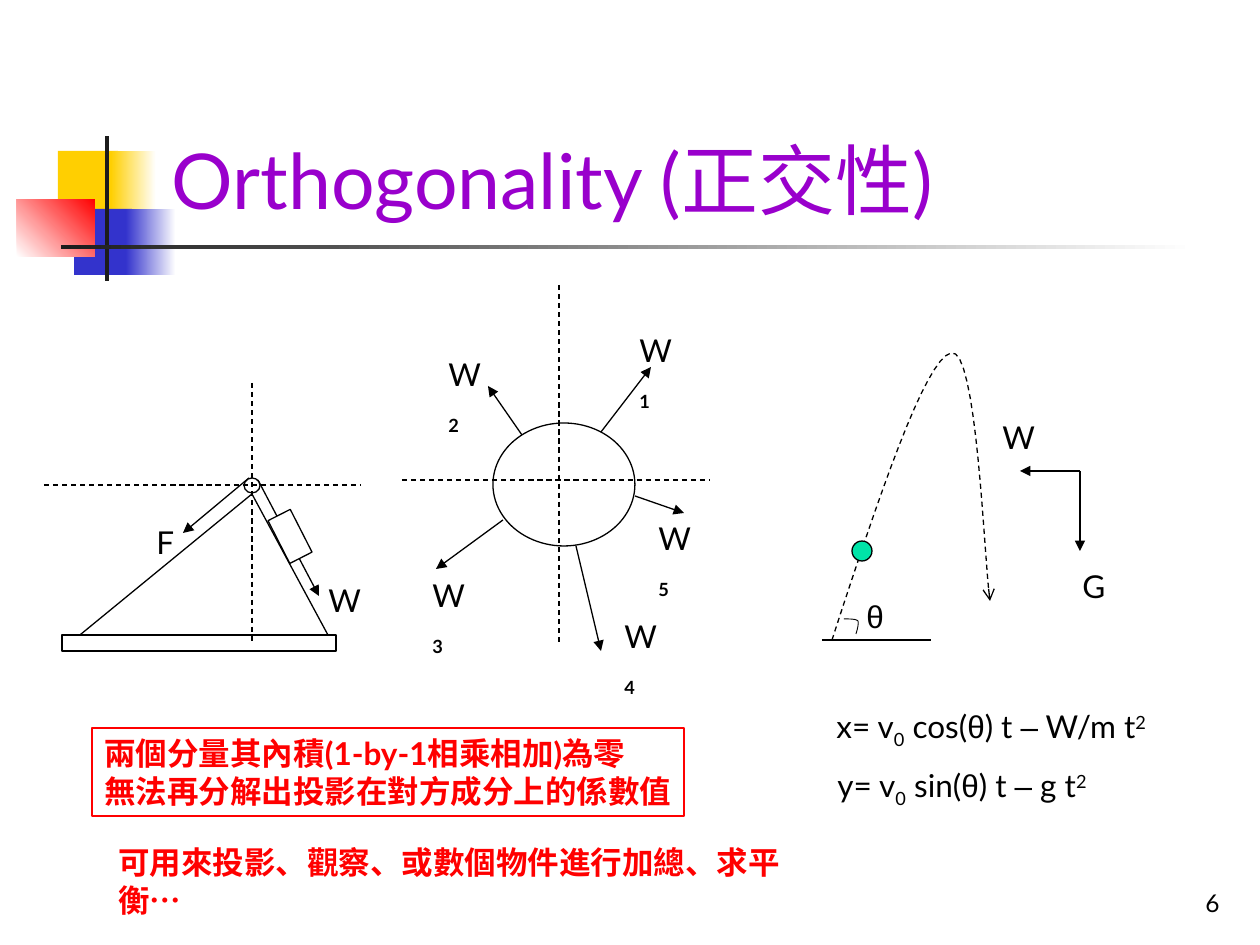
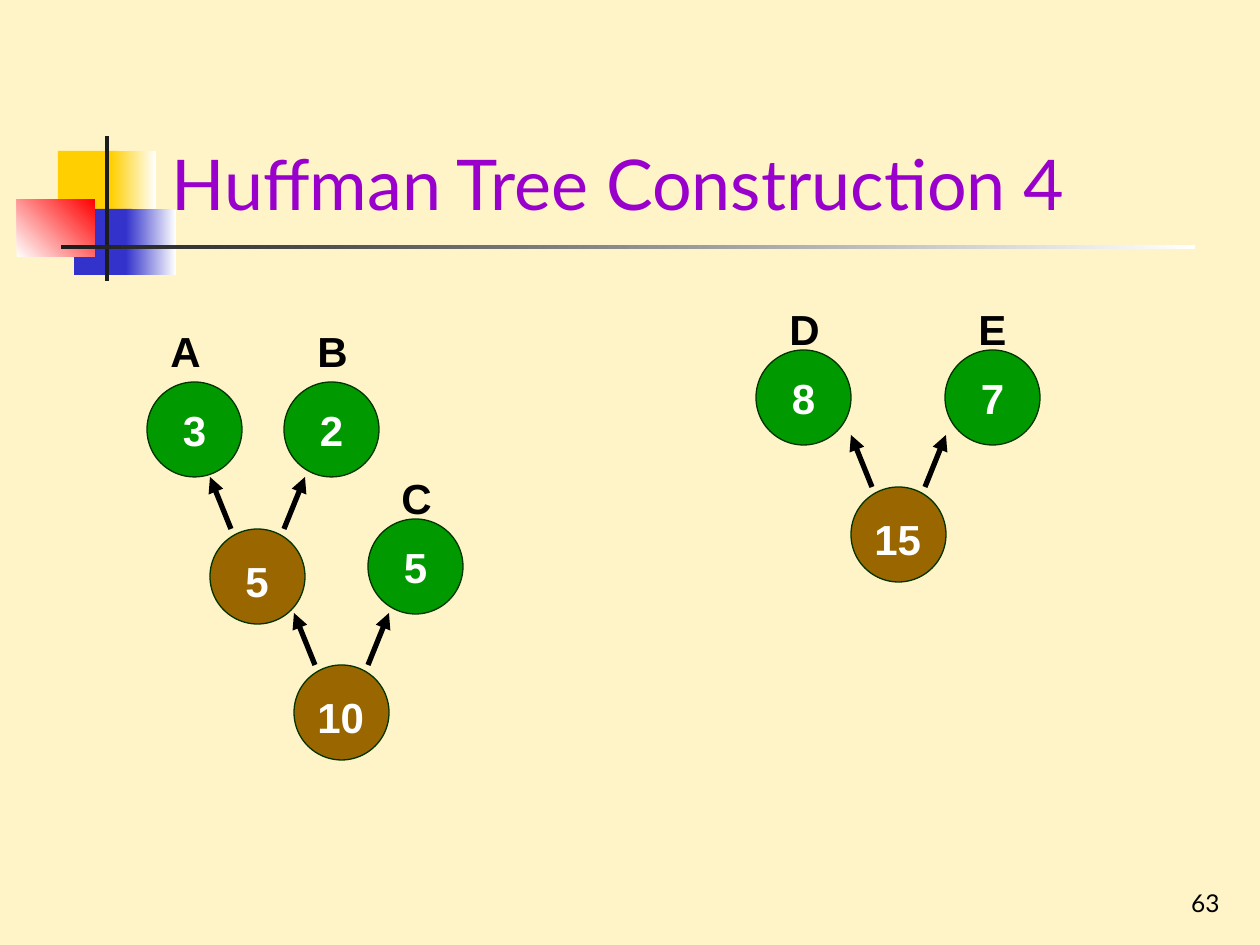
from lxml import etree
from pptx import Presentation
from pptx.dml.color import RGBColor
from pptx.enum.dml import MSO_LINE
from pptx.enum.shapes import MSO_CONNECTOR, MSO_SHAPE
from pptx.enum.text import MSO_ANCHOR, MSO_AUTO_SIZE, PP_ALIGN
from pptx.oxml.ns import qn
from pptx.util import Pt

PX = 914400 // 126
RECT, OVAL = MSO_SHAPE.RECTANGLE, MSO_SHAPE.OVAL
STRAIGHT, DASH = MSO_CONNECTOR.STRAIGHT, MSO_LINE.DASH
TOP, MIDDLE, BOTTOM = MSO_ANCHOR.TOP, MSO_ANCHOR.MIDDLE, MSO_ANCHOR.BOTTOM
LEFT, CENTER, RIGHT = PP_ALIGN.LEFT, PP_ALIGN.CENTER, PP_ALIGN.RIGHT
NO_AUTOFIT = MSO_AUTO_SIZE.NONE

BLACK, WHITE, RED, PURPLE = "000000", "FFFFFF", "FF0000", "9900CC"
YELLOW, BLUE, INK, MINT = "FFCF01", "3333CC", "1C1C1C", "00E4A8"
GREEN, DARK_GREEN, BROWN, CREAM = "009900", "003300", "996600", "FFF4C8"
LATO, ARIAL = "Lato", "Arial"
rgb = RGBColor.from_string


def draw(shapes, preset, at, fill=None, line=None, paragraphs=(), size=18,
         colour=BLACK, wrap=True, align=LEFT, anchor=TOP):
    """Add a preset shape, or a text box if preset is None.

    fill is a colour or (from, to, angle); a span is (text, font, bold, baseline).
    """
    place = [value * PX for value in at]
    if preset is None:
        box = shapes.add_textbox(*place)
    else:
        box = shapes.add_shape(preset, *place)
        box.shadow.inherit = False
    if isinstance(fill, tuple):
        box.fill.gradient()
        box.fill.gradient_angle = fill[2]
        for stop, shade in zip(box.fill.gradient_stops, fill):
            stop.color.rgb = rgb(shade)
    elif fill:
        box.fill.solid()
        box.fill.fore_color.rgb = rgb(fill)
    else:
        box.fill.background()
    if line:
        box.line.color.rgb = rgb(line)
        box.line.width = Pt(0.75)
    else:
        box.line.fill.background()
    frame = box.text_frame
    frame.word_wrap = wrap
    frame.vertical_anchor = anchor
    for index, spans in enumerate(paragraphs):
        para = frame.add_paragraph() if index else frame.paragraphs[0]
        para.alignment = align
        for text, font, bold, baseline in spans:
            span = para.add_run()
            span.text = text
            span.font.name = font
            span.font.size = Pt(size)
            span.font.bold = bold
            span.font.color.rgb = rgb(colour)
            if baseline:
                span.font._element.set("baseline", str(baseline * 1000))
    return box


def link(shapes, points, width=0.75, dash=None, tail=None):
    """Add a connector through two points, or an open outline through more."""
    points = [(round(x * PX), round(y * PX)) for x, y in points]
    if len(points) == 2:
        stroke = shapes.add_connector(STRAIGHT, *points[0], *points[1])
    else:
        builder = shapes.build_freeform(*points[0])
        builder.add_line_segments(points[1:], close=False)
        stroke = builder.convert_to_shape()
        stroke.fill.background()
    stroke.line.color.rgb = rgb(BLACK)
    stroke.line.width = Pt(width)
    if dash:
        stroke.line.dash_style = dash
    properties = stroke._element.spPr
    if tail:
        etree.SubElement(properties.find(qn("a:ln")), qn("a:tailEnd"), type=tail)
    etree.SubElement(properties, qn("a:effectLst"))


deck = Presentation()
deck.slide_width = 1260 * PX
deck.slide_height = 945 * PX

# Shared frame: background, corner blocks, rules, slide number and title
decoration = [
    ((58, 151, 60, 66), YELLOW),
    ((111, 151, 45, 66), (YELLOW, WHITE, 0)),
    ((74, 209, 58, 66), BLUE),
    ((126, 209, 50, 66), (BLUE, WHITE, 0)),
    ((17, 199, 78, 58), (WHITE, RED, 45)),
    ((105, 136, 4, 145), INK),
    ((61, 245, 1134, 4), (INK, WHITE, 0)),
]
pages = []
for heading, heading_size, number, background in [
    ("Orthogonality (正交性)", 44, "6", WHITE),
    ("Huffman Tree Construction 4", 40, "63", CREAM),
]:
    page = deck.slides.add_slide(deck.slide_layouts[5])
    pages.append(page)
    page.background.fill.solid()
    page.background.fill.fore_color.rgb = rgb(background)
    for at, fill in decoration:
        draw(page.shapes, RECT, at, fill)
    draw(page.shapes, None, (970, 861, 262, 63), size=14, align=RIGHT,
         anchor=BOTTOM, paragraphs=[[(number, LATO, False, 0)]])

    title = page.shapes.title
    title.element.getparent().append(title.element)
    title.left, title.top, title.width, title.height = [
        value * PX for value in (159, 29, 1074, 202)]
    title.text_frame.auto_size = NO_AUTOFIT
    title.text_frame.vertical_anchor = BOTTOM
    para = title.text_frame.paragraphs[0]
    para.alignment = LEFT
    span = para.add_run()
    span.text = heading
    span.font.name = LATO
    span.font.size = Pt(heading_size)
    span.font.color.rgb = rgb(PURPLE)

# Slide 1: pulley on an inclined frame
vectors, tree = pages
pulley = vectors.shapes.add_group_shape().shapes
draw(pulley, OVAL, (244, 478, 16, 15), WHITE, BLACK)
for start, end, tail in [
    ((258, 480), (319, 596), "triangle"),
    ((249, 478), (183, 533), "triangle"),
    ((252, 494), (328, 635), None),
    ((252, 494), (69, 644), None),
]:
    link(pulley, [start, end], tail=tail)
draw(pulley, RECT, (62, 635, 274, 16), WHITE, BLACK)
weight = draw(pulley, RECT, (266, 524, 48, 25), WHITE, BLACK)
weight.rotation = 63

# Slide 1: wheel pulled by five forces
wheel = vectors.shapes.add_group_shape().shapes
draw(wheel, OVAL, (493, 423, 142, 123), line=BLACK)
forces = [
    ((601, 432), (651, 367), (627, 325)),
    ((522, 435), (488, 386), (436, 349)),
    ((503, 520), (436, 569), (420, 570)),
    ((576, 546), (601, 651), (612, 611)),
    ((635, 496), (684, 513), (646, 513)),
]
for index, (start, end, corner) in enumerate(forces, 1):
    link(wheel, [start, end], tail="triangle")
    draw(wheel, None, (*corner, 64, 55), paragraphs=[
        [("W", LATO, False, 0), (str(index), LATO, True, -25)]])

# Slide 1: dashed axes
for group, start, end in [
    (pulley, (44, 485), (360, 485)),
    (pulley, (252, 383), (252, 644)),
    (wheel, (402, 480), (709, 480)),
    (wheel, (559, 285), (559, 644)),
]:
    link(group, [start, end], dash=DASH)

# Slide 1: thrown ball, with each curve sampled from its Bezier pieces
throw = vectors.shapes.add_group_shape().shapes
trajectory = [(832, 640), (878, 499), (925, 359), (951, 353),
              (977, 345), (984, 559), (990, 601)]
angle_mark = [(844, 619), (850, 619), (856, 619), (858, 621),
              (859, 624), (857, 631), (856, 634)]
STEPS = 16
for controls, width, dash, tail in [
    (trajectory, 0.75, DASH, "arrow"),
    (angle_mark, 0.5, None, None),
]:
    curve = [controls[0]]
    for first in range(0, len(controls) - 1, 3):
        for step in range(1, STEPS + 1):
            t = step / STEPS
            weights = ((1 - t) ** 3, 3 * t * (1 - t) ** 2, 3 * t * t * (1 - t), t ** 3)
            piece = controls[first:first + 4]
            curve.append([sum(w * point[axis] for w, point in zip(weights, piece))
                          for axis in (0, 1)])
    link(throw, curve, width, dash, tail)
for start, end, tail in [
    ((1080, 471), (1020, 471), "triangle"),
    ((1080, 471), (1080, 551), "triangle"),
    ((822, 640), (931, 640), None),
]:
    link(throw, [start, end], tail=tail)
draw(throw, OVAL, (852, 541, 20, 20), MINT, BLACK)

# Slide 1: single-letter labels
for group, text, font, corner in [
    (pulley, "W", LATO, (316, 575)),
    (pulley, "F", LATO, (144, 517)),
    (throw, "W", LATO, (990, 412)),
    (throw, "G", LATO, (1070, 561)),
    (throw, "θ", ARIAL, (854, 591)),
]:
    draw(group, None, (*corner, 54, 50), paragraphs=[[(text, font, False, 0)]])

# Slide 1: equations of motion
for corner, axis, function, acceleration in [
    ((824, 701), "x", "cos", "W/m"),
    ((825, 760), "y", "sin", "g"),
]:
    draw(vectors.shapes, None, (*corner, 350, 55), paragraphs=[[
        (f"{axis}= v", LATO, False, 0),
        ("0", LATO, False, -25),
        (f" {function}(", LATO, False, 0),
        ("θ", ARIAL, False, 0),
        (") t ", LATO, False, 0),
        ("–", ARIAL, False, 0),
        (f" {acceleration} t", LATO, False, 0),
        ("2", LATO, False, 30),
    ]])

# Slide 1: remarks
draw(vectors.shapes, RECT, (92, 728, 592, 88), line=RED, colour=RED, wrap=False,
     paragraphs=[[("兩個分量其內積(1-by-1相乘相加)為零", LATO, True, 0)],
                 [("無法再分解出投影在對方成分上的係數值", LATO, True, 0)]])
draw(vectors.shapes, None, (106, 837, 737, 50), colour=RED, paragraphs=[
    [("可用來投影、觀察、或數個物件進行加總、求平衡…", LATO, True, 0)]])

# Slide 2: leaves with their letters
NODE = 95
for letter, count, x, y, letter_x, letter_y in [
    ("A", "3", 147, 382, 11, -63),
    ("B", "2", 284, 382, 21, -63),
    ("C", "5", 368, 519, 21, -53),
    ("D", "8", 756, 350, 21, -53),
    ("E", "7", 945, 350, 21, -53),
]:
    draw(tree.shapes, OVAL, (x, y, NODE, NODE), GREEN, DARK_GREEN, size=24,
         colour=WHITE, wrap=False, align=CENTER, anchor=MIDDLE,
         paragraphs=[[(count, ARIAL, True, 0)]])
    draw(tree.shapes, None, (x + letter_x, y + letter_y, 55, 63), size=24,
         wrap=False, paragraphs=[[(letter, ARIAL, True, 0)]])

# Slide 2: merged nodes, each with arrows to its two children
for total, x, y in [("5", 210, 529), ("10", 294, 665), ("15", 851, 487)]:
    draw(tree.shapes, OVAL, (x, y, NODE, NODE), BROWN, DARK_GREEN)
    width = 24 + 24 * len(total)
    draw(tree.shapes, None, (x + (NODE - width) // 2, y + 20, width, 63), size=24,
         colour=WHITE, wrap=False, paragraphs=[[(total, ARIAL, True, 0)]])
    for start_x, end_x in [(21, 0), (74, NODE)]:
        link(tree.shapes, [(x + start_x, y), (x + end_x, y - 52)], 3, tail="triangle")

deck.save("out.pptx")
